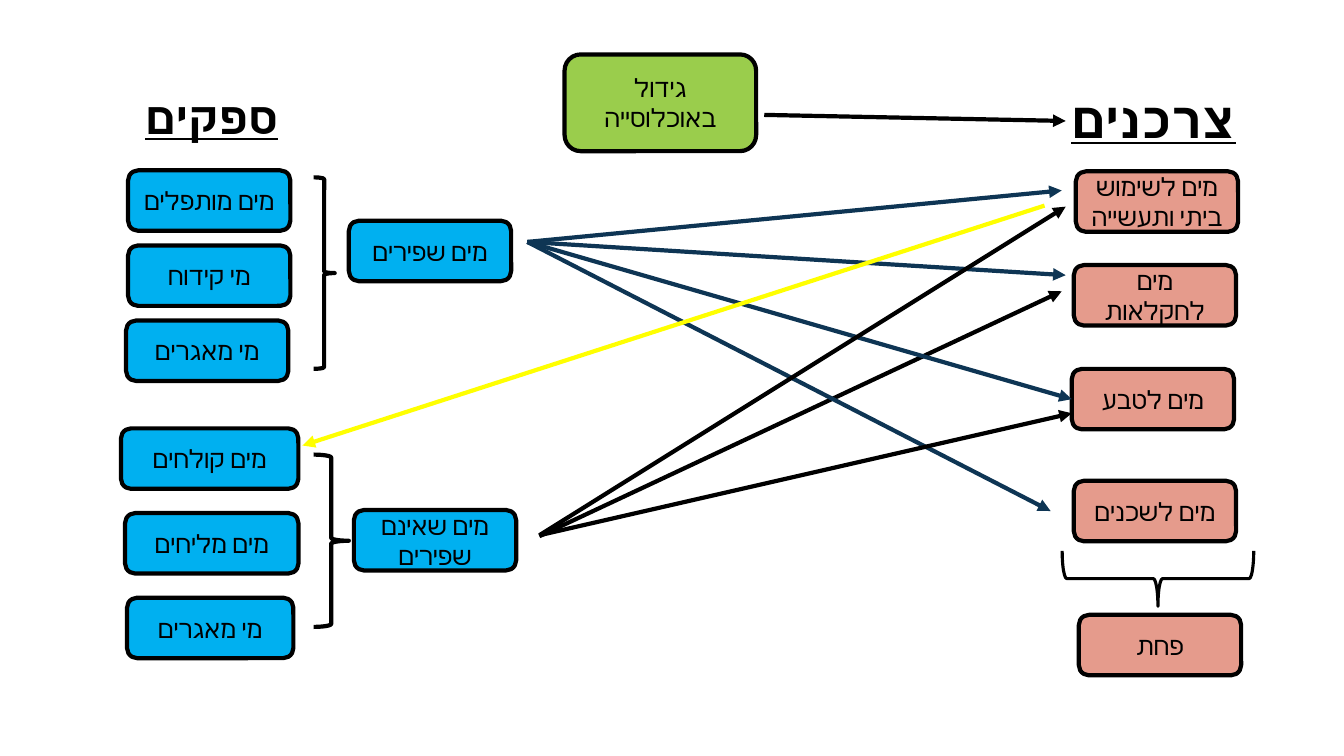
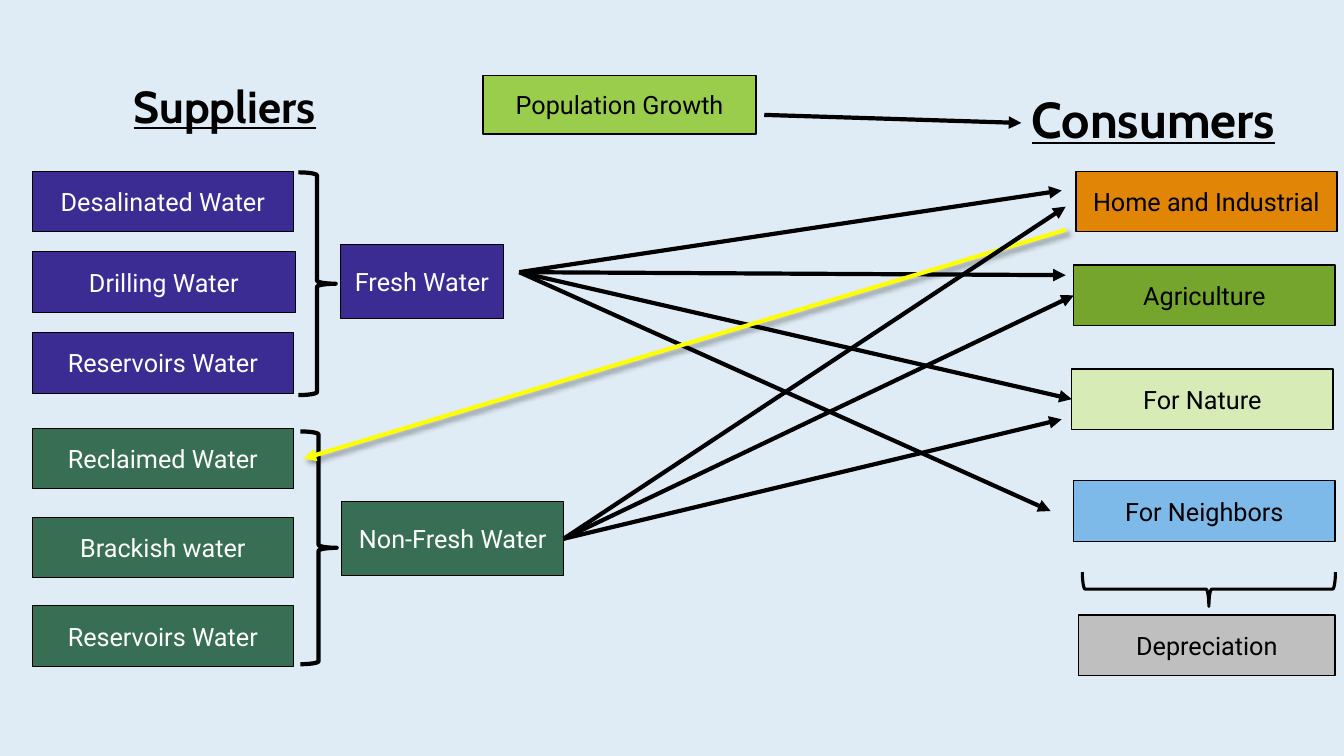
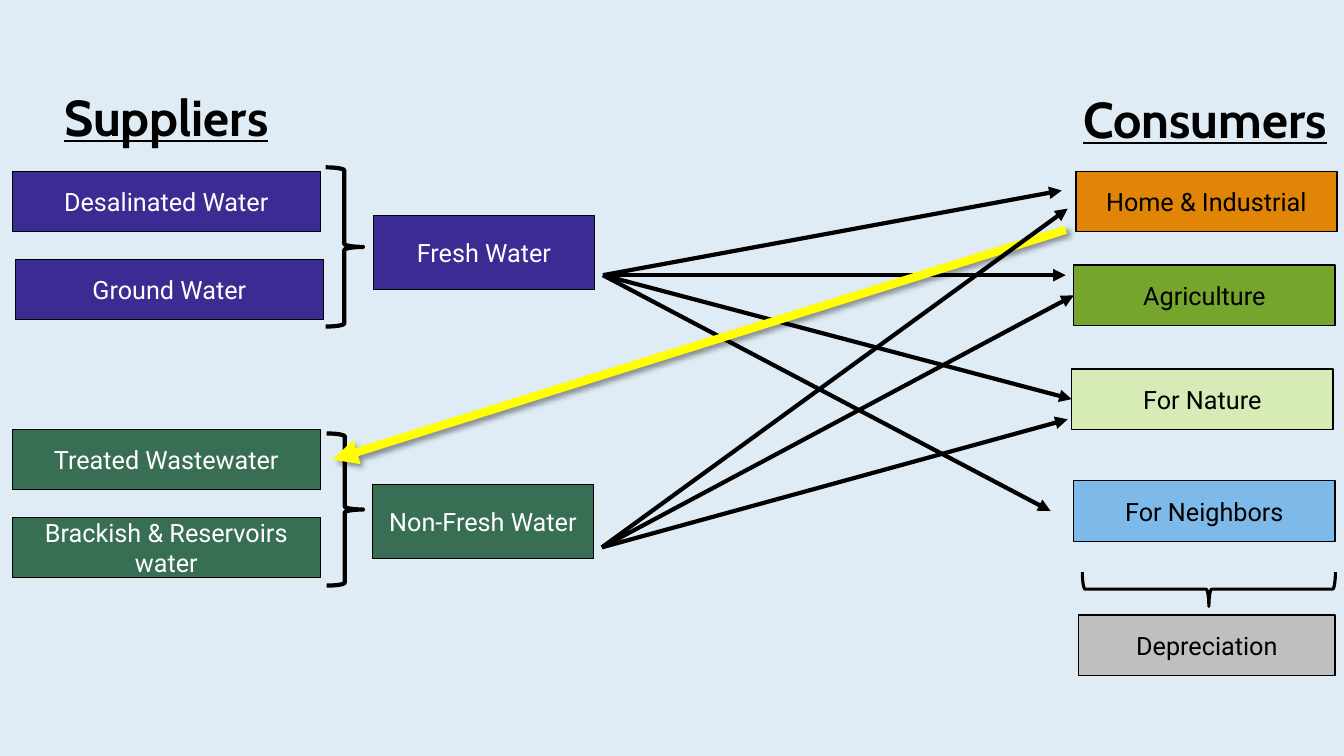
from lxml.etree import SubElement
from pptx import Presentation
from pptx.dml.color import RGBColor
from pptx.enum.shapes import MSO_CONNECTOR, MSO_SHAPE
from pptx.enum.text import MSO_ANCHOR, MSO_AUTO_SIZE, PP_ALIGN
from pptx.oxml.ns import qn
from pptx.util import Inches, Pt

CELL = 0.1  # inches in one grid column or row
BLACK, WHITE, YELLOW, NAVY = "000000", "FFFFFF", "FFFF00", "0E3554"
SKY, SALMON, LIME = "00B0F0", "E59B8C", "9ACD4C"
INDIGO, PINE, PALE_BLUE = "3B2C94", "386F54", "E0ECF5"
CONSUMER_FILLS = ["E18506", "76A52E", "D7EBB7", "7DBAE9", "BFBFBF"]
CONSUMER_PLACES = [(106.7, 17), (106.5, 26.3), (106.3, 36.6), (106.5, 47.7), (107, 61)]
RIGHT, LEFT = 3, 1


def cells(*values):
    return [Inches(value * CELL) for value in values]


def rgb(colour):
    return RGBColor.from_string(colour)


class FlowDeck:
    def __init__(self):
        self.deck = Presentation()
        self.deck.slide_width, self.deck.slide_height = Inches(13.33), Inches(7.5)

    def page(self, background, font, kind, line_width, hebrew=False):
        """Start a slide and set the style of its boxes."""
        self.slide = self.deck.slides.add_slide(self.deck.slide_layouts[6])
        self.slide.background.fill.solid()
        self.slide.background.fill.fore_color.rgb = rgb(background)
        self.font, self.kind, self.line_width = font, kind, line_width
        self.hebrew = hebrew

    def label(self, shape, text, size, font, colour, bold=False):
        frame = shape.text_frame
        frame.text = text
        frame.word_wrap = True
        para = frame.paragraphs[0]
        para.alignment = PP_ALIGN.CENTER
        if self.hebrew:
            para._p.get_or_add_pPr().set("rtl", "1")
        span = para.runs[0]
        span.font.size, span.font.name = Pt(size), font
        span.font.bold = span.font.underline = bold
        span.font.color.rgb = rgb(colour)
        SubElement(span._r.rPr, qn("a:cs")).set("typeface", font)

    def heading(self, text, left, top, size):
        box = self.slide.shapes.add_textbox(*cells(left, top, 29.6, size * 0.2))
        self.label(box, text, size, "Cabin", BLACK, bold=True)
        box.text_frame.auto_size = MSO_AUTO_SIZE.SHAPE_TO_FIT_TEXT

    def box(self, text, left, top, width, fill, height=6, colour=BLACK, line_width=None):
        box = self.slide.shapes.add_shape(self.kind, *cells(left, top, width, height))
        box.shadow.inherit = False
        box.fill.solid()
        box.fill.fore_color.rgb = rgb(fill)
        box.line.color.rgb = rgb(BLACK)
        box.line.width = Pt(line_width or self.line_width)
        box.text_frame.vertical_anchor = MSO_ANCHOR.MIDDLE
        self.label(box, text, 18, self.font, colour)
        return box

    def stack(self, rows, top, step, fill, colour=BLACK):
        """Draw boxes at equal steps downwards; a row is text, left, width."""
        for index, (text, left, width) in enumerate(rows):
            self.box(text, left, top + index * step, width, fill, colour=colour)

    def brace(self, left, top, width, height, down=False):
        """Draw a brace in the frame seen, pointing right or down."""
        kind = MSO_SHAPE.RIGHT_BRACE
        if down:
            kind = MSO_SHAPE.LEFT_BRACE
            left, top = left + (width - height) / 2, top + (height - width) / 2
            width, height = height, width
        brace = self.slide.shapes.add_shape(kind, *cells(left, top, width, height))
        brace.rotation = 270 if down else 0
        brace.shadow.inherit = False
        brace.fill.background()
        brace.line.color.rgb = rgb(BLACK)
        brace.line.width = Pt(2.25 if down else 3)

    @staticmethod
    def anchor(end, side):
        """Return the point of an end, given as a grid point or a box."""
        if isinstance(end, tuple):
            return cells(*end)
        return [end.left + (end.width if side == RIGHT else 0), end.top + end.height // 2]

    def arrow(self, start, end, colour=BLACK, width=3, shadow=False):
        """Draw an arrow; a box as an end joins the middle of its side."""
        arrow = self.slide.shapes.add_connector(
            MSO_CONNECTOR.STRAIGHT, *self.anchor(start, RIGHT), *self.anchor(end, LEFT))
        if not isinstance(start, tuple):
            arrow.begin_connect(start, RIGHT)
        if not isinstance(end, tuple):
            arrow.end_connect(end, LEFT)
        arrow.line.color.rgb = rgb(colour)
        arrow.line.width = Pt(width)
        properties = arrow.element.spPr
        SubElement(properties.find(qn("a:ln")), qn("a:tailEnd")).set("type", "triangle")
        effects = SubElement(properties, qn("a:effectLst"))
        if shadow:
            outer = SubElement(effects, qn("a:outerShdw"), blurRad=str(Pt(4)),
                               dist=str(Pt(3)), dir="2700000", algn="tl", rotWithShape="0")
            tint = SubElement(outer, qn("a:srgbClr"), val=BLACK)
            SubElement(tint, qn("a:alpha"), val="40000")

    def fan(self, start, ends, colour=BLACK):
        for end in ends:
            self.arrow(start, end, colour)

    def consumers(self, labels, fills, width, line_width):
        return [self.box(label, left, top, width, fill, line_width=line_width)
                for label, fill, (left, top) in zip(labels, fills, CONSUMER_PLACES)]

    def english_consumers(self, home):
        labels = [home, "Agriculture", "For Nature", "For Neighbors", "Depreciation"]
        boxes = self.consumers(labels, CONSUMER_FILLS, 25.9, 1)
        boxes[-1].width = cells(25.4)[0]
        self.brace(107.35, 56.75, 25.1, 3.4, down=True)
        return boxes


def hebrew_slide(flow):
    flow.page(WHITE, "Cabin", MSO_SHAPE.ROUNDED_RECTANGLE, 3, hebrew=True)
    flow.heading("צרכנים", 99.6, 8.2, 36)
    flow.heading("ספקים", 6.2, 8.4, 32)
    flow.box("גידול באוכלוסייה", 56, 5.4, 19, LIME, height=9.6)
    labels = ["מים לשימוש ביתי ותעשייה", "מים לחקלאות", "מים לטבע", "מים לשכנים", "פחת"]
    nature = flow.consumers(labels, [SALMON] * 5, 16.1, 3)[2]
    flow.stack([("מים מותפלים", 12.7, 16.1), ("מי קידוח", 12.7, 16.1),
                ("מי מאגרים", 12.5, 16.1)], 16.9, 7.45, SKY)
    flow.stack([("מים קולחים", 12, 17.6), ("מים מליחים", 12.4, 17.2),
                ("מי מאגרים", 12.6, 16.5)], 42.5, 8.4, SKY)
    flow.box("מים שפירים", 34.6, 21.9, 16.1, SKY)
    flow.box("מים שאינם שפירים", 35.1, 50.6, 16.1, SKY)
    flow.brace(31.1, 17.6, 2.1, 19)
    flow.brace(31.1, 45.1, 3.5, 17.1)
    flow.brace(105.35, 54.65, 19, 5.5, down=True)
    flow.arrow((75.8, 11.4), (105.7, 12))
    flow.arrow((53.5, 53.2), (105.3, 28.9))
    flow.fan((52.3, 24), [(105.3, 18.9), (105.7, 27.3), nature, (104.2, 50.7)], NAVY)
    flow.arrow((103.6, 20.4), (30, 44.2), YELLOW)
    flow.fan((53.5, 53.1), [(106.3, 41), (105.7, 20.5)])


def six_sources_slide(flow):
    flow.page(PALE_BLUE, "Roboto", MSO_SHAPE.RECTANGLE, 0.75)
    flow.heading("Consumers", 99.6, 8.2, 36)
    flow.heading("Suppliers", 7.5, 7.3, 32)
    flow.box("Population Growth", 47.9, 7.5, 27.1, LIME, height=5.8, line_width=1)
    _, agriculture, nature, *_ = flow.english_consumers("Home and Industrial")
    flow.stack([("Desalinated Water", 3.2, 25.9), ("Drilling Water", 3.2, 26.1),
                ("Reservoirs Water", 3.2, 25.9)], 17, 8, INDIGO, WHITE)
    flow.stack([(label, 3.2, 25.9) for label in
                ("Reclaimed Water", "Brackish water", "Reservoirs Water")],
               42.5, 8.8, PINE, WHITE)
    flow.box("Fresh Water", 33.8, 24.3, 16.1, INDIGO, 7.3, WHITE)
    non_fresh = flow.box("Non-Fresh Water", 33.9, 49.8, 22, PINE, 7.3, WHITE)
    flow.brace(29.6, 17.1, 3.7, 22.1)
    flow.brace(29.8, 42.8, 3.6, 23.1)
    flow.arrow((75.8, 11.4), (101.3, 12.2))
    flow.arrow(non_fresh, agriculture)
    flow.fan((51.5, 27), [(105.3, 18.9), (105.7, 27.3), nature, (104.2, 50.7)])
    flow.arrow((105.7, 22.8), (30.1, 45.5), YELLOW, shadow=True)
    flow.fan(non_fresh, [(105.3, 41.6), (105.7, 20.5)])


def four_sources_slide(flow):
    flow.page(PALE_BLUE, "Roboto", MSO_SHAPE.RECTANGLE, 0.75)
    flow.heading("Consumers", 104.7, 8.2, 36)
    flow.heading("Suppliers", 1.7, 8, 36)
    _, agriculture, nature, *_ = flow.english_consumers("Home & Industrial")
    flow.stack([("Desalinated Water", 1.2, 30.6), ("Ground Water", 1.5, 30.6)],
               17, 8.7, INDIGO, WHITE)
    flow.stack([("Treated Wastewater", 1.2, 30.6), ("Brackish & Reservoirs water", 1.2, 30.6)],
               42.6, 8.7, PINE, WHITE)
    flow.box("Fresh Water", 37, 21.4, 22, INDIGO, 7.3, WHITE)
    flow.box("Non-Fresh Water", 36.9, 48.1, 22, PINE, 7.3, WHITE)
    flow.brace(32.3, 16.6, 3.7, 15.8)
    flow.brace(32.4, 43, 3.6, 15.1)
    flow.arrow((59.7, 54.3), agriculture)
    flow.fan((59.8, 27.3), [(105.3, 18.9), (105.7, 27.3), nature, (104.2, 50.7)])
    flow.arrow((105.7, 22.8), (33, 45.6), YELLOW, 6, shadow=True)
    flow.fan((59.7, 54.3), [(105.9, 41.6), (105.9, 20.7)])


def main():
    flow = FlowDeck()
    hebrew_slide(flow)
    six_sources_slide(flow)
    four_sources_slide(flow)
    flow.deck.save("out.pptx")


if __name__ == "__main__":
    main()
